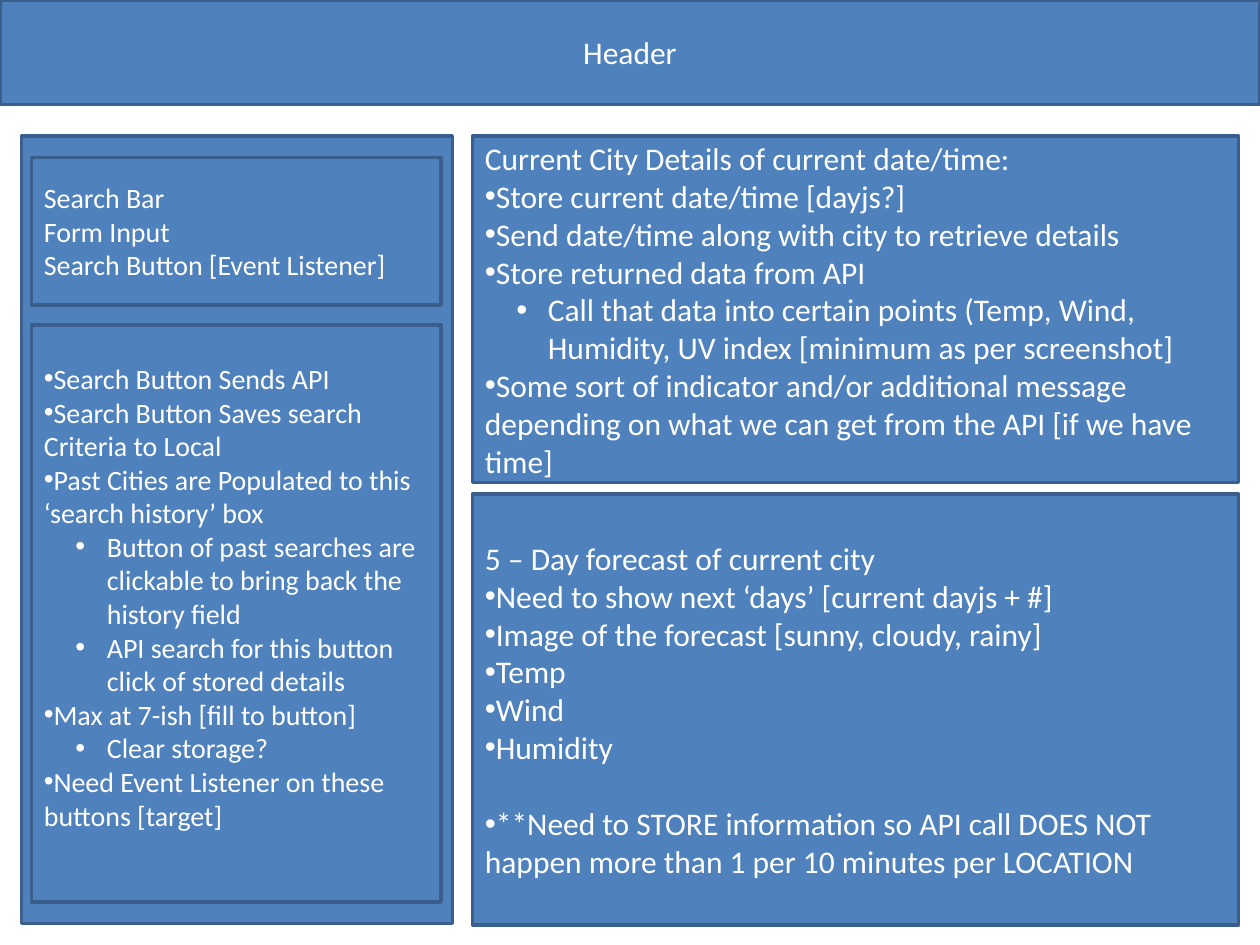
from dataclasses import dataclass
from pptx import Presentation, util as u
from pptx.dml.color import RGBColor
from pptx.enum import shapes, text
from pptx.oxml.ns import qn
from lxml import etree


@dataclass
class Line:
    words: str
    level: int = -1
    gap: float = 0


@dataclass
class Box:
    left: float
    top: float
    width: float
    height: float
    lines: tuple = ()
    size: int = 18
    align: text.PP_ALIGN = text.PP_ALIGN.LEFT
    foot: float = 0.05


def tint(code: str) -> RGBColor:
    return RGBColor.from_string(code)


def assign(target, **values) -> None:
    for name, value in values.items():
        setattr(target, name, value)


def bullet(para, level: int) -> None:
    props = para._p.get_or_add_pPr()
    props.set("marL", str(u.Inches(0.5 * level)))
    props.set("indent", str(u.Inches(-0.25 * level)))
    font = etree.SubElement(props, qn("a:buFont"))
    font.set("typeface", "Arial")
    mark = etree.SubElement(props, qn("a:buChar"))
    mark.set("char", "•")


def draw(slide, box: Box) -> None:
    area = [u.Inches(n) for n in (box.left, box.top, box.width, box.height)]
    shape = slide.shapes.add_shape(shapes.MSO_SHAPE.RECTANGLE, *area)
    shape.shadow.inherit = False
    shape.fill.solid()
    shape.fill.fore_color.rgb = tint("4F81BD")
    shape.line.color.rgb = tint("3A5F8C")
    shape.line.width = u.Pt(2)
    frame = shape.text_frame
    assign(frame, word_wrap=True, vertical_anchor=text.MSO_ANCHOR.MIDDLE,
           margin_bottom=u.Inches(box.foot))
    for i, line in enumerate(box.lines):
        para = frame.add_paragraph() if i else frame.paragraphs[0]
        para.text = line.words
        assign(para, alignment=box.align, level=max(line.level, 0),
               space_before=u.Pt(line.gap))
        if line.level >= 0:
            bullet(para, line.level)
        for run in para.runs:
            assign(run.font, name="Calibri", size=u.Pt(box.size))
            run.font.color.rgb = tint("FFFFFF")


HEAD = (Line("Header"),)
SEARCH = (Line("Search Bar\vForm Input\vSearch Button [Event Listener]"),)
PAST = (
    Line("Search Button Sends API", 0),
    Line("Search Button Saves search Criteria to Local", 0),
    Line("Past Cities are Populated to this ‘search history’ box", 0),
    Line("Button of past searches are clickable to bring back the history field", 1),
    Line("API search for this button click of stored details", 1),
    Line("Max at 7-ish [fill to button]", 0),
    Line("Clear storage?", 1),
    Line("Need Event Listener on these buttons [target]", 0),
)
TODAY = (
    Line("Current City Details of current date/time:"),
    Line("Store current date/time [dayjs?]", 0),
    Line("Send date/time along with city to retrieve details", 0),
    Line("Store returned data from API", 0),
    Line("Call that data into certain points (Temp, Wind, Humidity, "
         "UV index [minimum as per screenshot]", 1),
    Line("Some sort of indicator and/or additional message depending on "
         "what we can get from the API [if we have time]", 0),
)
NEXT = (
    Line("5 – Day forecast of current city"),
    Line("Need to show next ‘days’ [current dayjs + #]", 0),
    Line("Image of the forecast [sunny, cloudy, rainy]", 0),
    Line("Temp", 0),
    Line("Wind", 0),
    Line("Humidity", 0),
    Line("**Need to STORE information so API call DOES NOT happen "
         "more than 1 per 10 minutes per LOCATION", 0, 22),
)
BOXES = (
    Box(0, 0, 10, 0.83, HEAD, align=text.PP_ALIGN.CENTER),
    Box(0.17, 1.08, 3.42, 6.25),
    Box(0.25, 1.25, 3.25, 1.17, SEARCH, 16),
    Box(0.25, 2.58, 3.25, 4.58, PAST, 16, foot=0.32),
    Box(3.75, 1.08, 6.08, 2.75, TODAY),
    Box(3.75, 3.92, 6.08, 3.42, NEXT),
)

deck = Presentation()
assign(deck, slide_width=u.Inches(10), slide_height=u.Inches(7.5))
page = deck.slides.add_slide(deck.slide_layouts[6])
for box in BOXES:
    draw(page, box)
deck.save("out.pptx")
